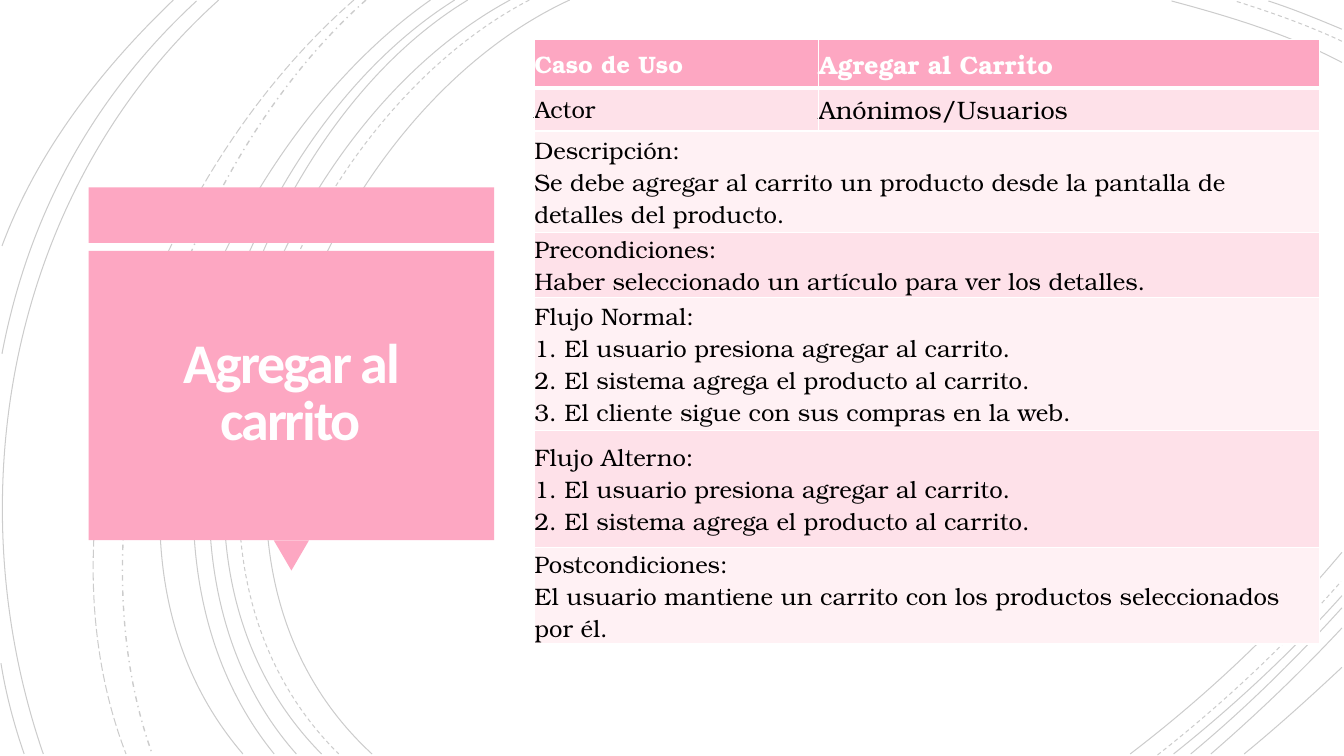
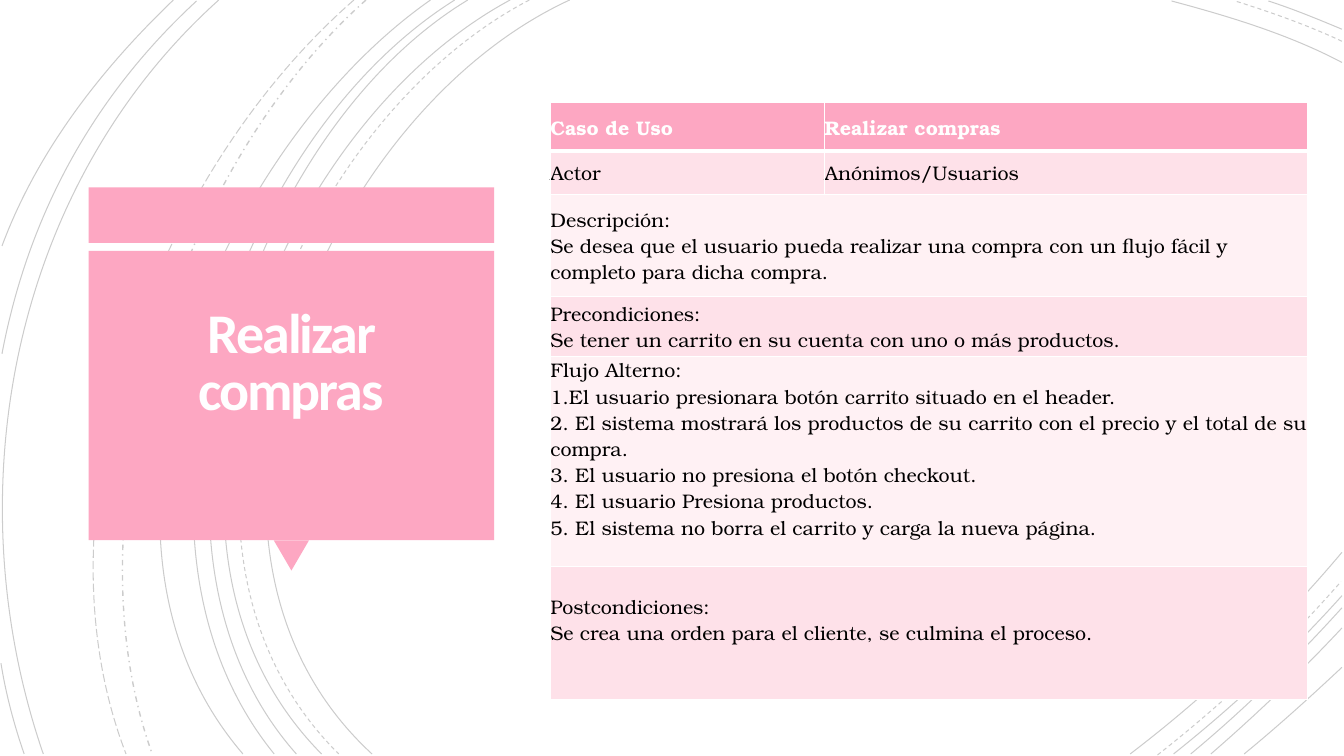
from lxml import etree
from pptx import Presentation
from pptx.dml.color import RGBColor
from pptx.enum import dml, shapes, text
from pptx.oxml import ns
from pptx.util import Inches, Pt

PINK = RGBColor(0xFD, 0xA7, 0xC2)
PINK_MID = RGBColor(0xFE, 0xE1, 0xE9)
PINK_PALE = RGBColor(0xFF, 0xF1, 0xF4)
WHITE = RGBColor(0xFF, 0xFF, 0xFF)
TITLE_WHITE = RGBColor(0xFF, 0xFE, 0xFF)
BLACK = RGBColor(0, 0, 0)

TITLE_FONT = "Calibri"
TABLE_FONT = "TeX Gyre Bonum"
TITLE_BOX = (0.97, 2.57, 3.83, 2.69)
PANEL_BOX = (0.88, 1.86, 4.02, 3.8)

SOLID = dml.MSO_LINE.SOLID
DASH = dml.MSO_LINE.DASH
DASH_DOT = dml.MSO_LINE.DASH_DOT
LONG_DASH = dml.MSO_LINE.LONG_DASH

# Backdrop arcs: start, two control points, end, dash, width
ARCS = [
    ((5.65, 0), (3.15, 1.15), (1.43, 5.4), (3.69, 7.48), SOLID, 0.75),
    ((13.31, 0.62), (12.78, 0.34), (12.18, 0.16), (11.62, 0.01), SOLID, 0.75),
    ((11.21, 7.48), (11.97, 6.9), (12.69, 6.22), (13.31, 5.48), SOLID, 0.75),
    ((5.25, 0), (2.85, 1.25), (1.23, 5.37), (3.36, 7.48), DASH, 0.75),
    ((13.31, 0.41), (12.97, 0.25), (12.6, 0.12), (12.25, 0.01), DASH, 0.75),
    ((11.48, 7.49), (12.13, 6.98), (12.75, 6.4), (13.3, 5.77), DASH, 0.75),
    ((5.06, 0), (2.7, 1.27), (1.1, 5.37), (3.19, 7.48), SOLID, 0.75),
    ((13.31, 0.29), (13.07, 0.19), (12.83, 0.09), (12.58, 0.01), SOLID, 0.75),
    ((11.64, 7.48), (12.23, 7.01), (12.8, 6.48), (13.31, 5.91), SOLID, 0.75),
    ((4.64, 0), (2.44, 1.33), (1.1, 5.41), (2.94, 7.48), SOLID, 0.75),
    ((11.81, 7.48), (12.34, 7.04), (12.84, 6.55), (13.31, 6.03), SOLID, 0.75),
    ((4.51, 0), (2.31, 1.38), (0.97, 5.33), (2.72, 7.48), SOLID, 0.75),
    ((12.01, 7.48), (12.46, 7.09), (12.9, 6.67), (13.31, 6.23), SOLID, 0.75),
    ((4.27, 0), (2.17, 1.47), (0.53, 5.29), (2.41, 7.48), SOLID, 0.75),
    ((12.34, 7.48), (12.67, 7.21), (12.99, 6.92), (13.31, 6.62), SOLID, 0.75),
    ((3.63, 0), (1.76, 1.66), (0.65, 5.09), (1.51, 7.48), DASH_DOT, 1),
    ((3.51, 0), (1.57, 1.69), (0.29, 4.99), (1.25, 7.48), LONG_DASH, 0.75),
    ((2.17, 0), (0.11, 1.85), (-0.46, 4.9), (0.43, 7.48), SOLID, 0.75),
    ((1.95, 0.01), (0.92, 0.96), (0.28, 2.14), (0.02, 3.51), SOLID, 0.75),
    ((0.01, 6.58), (0.06, 6.89), (0.14, 7.19), (0.24, 7.48), SOLID, 0.75),
    ((1.72, 0), (1, 0.69), (0.37, 1.5), (0.02, 2.44), SOLID, 0.75),
]

# Each use case: rows are (height, texts of the cells, space kept below the text)
USE_CASES = [
    dict(
        title="Agregar al carrito", title_bottom=0.25,
        place=(5.3, 0.39), columns=(2.82, 4.97), size=17, value_size=18,
        rows=[
            (0.48, ["Caso de Uso", "Agregar al Carrito"], 0),
            (0.43, ["Actor", "Anónimos/Usuarios"], 0),
            (1.01, ["Descripción:\nSe debe agregar al carrito un producto desde la "
                    "pantalla de detalles del producto."], 0),
            (0.64, ["Precondiciones:\nHaber seleccionado un artículo para ver los "
                    "detalles."], 0),
            (1.32, ["Flujo Normal:\n1. El usuario presiona agregar al carrito.\n"
                    "2. El sistema agrega el producto al carrito.\n"
                    "3. El cliente sigue con sus compras en la web."], 0),
            (1.16, ["Flujo Alterno:\n1. El usuario presiona agregar al carrito.\n"
                    "2. El sistema agrega el producto al carrito."], 0),
            (0.96, ["Postcondiciones:\nEl usuario mantiene un carrito con los "
                    "productos seleccionados por él."], 0),
        ]),
    dict(
        title="Realizar compras", title_bottom=0.84,
        place=(5.46, 1.02), columns=(2.72, 4.79), size=14, value_size=14,
        rows=[
            (0.48, ["Caso de Uso", "Realizar compras"], 0),
            (0.43, ["Actor", "Anónimos/Usuarios"], 0),
            (1.01, ["Descripción:\nSe desea que el usuario pueda realizar una compra "
                    "con un flujo fácil y completo para dicha compra."], 0),
            (0.6, ["Precondiciones:\nSe tener un carrito en su cuenta con uno o más "
                   "productos."], 0),
            (2.08, ["Flujo Alterno:\n"
                    "1.El usuario presionara botón carrito situado en el header.\n"
                    "2. El sistema mostrará los productos de su carrito con el precio "
                    "y el total de su compra.\n"
                    "3. El usuario no presiona el botón checkout.\n"
                    "4. El usuario Presiona productos.\n"
                    "5. El sistema no borra el carrito y carga la nueva página."], 0.26),
            (1.32, ["Postcondiciones:\nSe crea una orden para el cliente, se culmina "
                    "el proceso."], 0.26),
        ]),
]


def add_arc(slide, *controls, dash, width):
    start, *rest = [tuple(map(Inches, point)) for point in controls]
    builder = slide.shapes.build_freeform(*start)
    builder.add_line_segments(rest, close=False)
    arc = builder.convert_to_shape()
    # Turn the three segments into one cubic curve
    segments = list(arc.element.iter(ns.qn("a:lnTo")))
    outline = segments[0].getparent()
    curve = etree.SubElement(outline, ns.qn("a:cubicBezTo"))
    for segment in segments:
        curve.append(segment[0])
        outline.remove(segment)
    arc.shadow.inherit = False
    arc.fill.background()
    arc.line.color.rgb = BLACK
    arc.line.width = Pt(width)
    arc.line.dash_style = dash
    # Lines are mostly transparent
    color = arc.element.spPr.find(".//" + ns.qn("a:srgbClr"))
    etree.SubElement(color, ns.qn("a:alpha"), val="20000")
    return arc


def add_panel(slide, box):
    """Band, pointer and main block behind the title."""
    left, top, width, height = box
    kinds = shapes.MSO_SHAPE
    pointer_w, pointer_h, band_h, gap = 0.35, 0.3, 0.55, 0.08
    block_top = top + band_h + gap
    pointer_top = top + height - pointer_h
    parts = [
        (kinds.RECTANGLE, left, top, width, band_h, 0),
        (kinds.ISOSCELES_TRIANGLE, left + (width - pointer_w) / 2, pointer_top,
         pointer_w, pointer_h, 180),
        (kinds.RECTANGLE, left, block_top, width, pointer_top - block_top, 0),
    ]
    panel = []
    for kind, *place, rotation in parts:
        part = slide.shapes.add_shape(kind, *map(Inches, place))
        part.rotation = rotation
        part.shadow.inherit = False
        part.fill.solid()
        part.fill.fore_color.rgb = PINK
        part.line.fill.background()
        panel.append(part)
    return panel


def move_backdrop_to_layout(slide):
    """Draw the shared backdrop once and hand it to the layout."""
    layout = slide.slide_layout
    for holder in list(layout.placeholders):
        if holder.placeholder_format.type != shapes.PP_PLACEHOLDER.TITLE:
            holder.element.getparent().remove(holder.element)
    backdrop = [add_arc(slide, *controls, dash=dash, width=width)
                for *controls, dash, width in ARCS]
    backdrop += add_panel(slide, PANEL_BOX)
    for part in backdrop:
        layout.element.cSld.spTree.append(part.element)


def fill_title(slide, title, box, bottom):
    heading = slide.shapes.title
    heading.left, heading.top, heading.width, heading.height = map(Inches, box)
    frame = heading.text_frame
    frame.text = title
    frame.word_wrap = True
    frame.auto_size = text.MSO_AUTO_SIZE.NONE
    frame.vertical_anchor = text.MSO_ANCHOR.MIDDLE
    frame.margin_left = frame.margin_right = frame.margin_top = Inches(0.25)
    frame.margin_bottom = Inches(bottom)
    line = frame.paragraphs[0]
    line.alignment = text.PP_ALIGN.CENTER
    line.line_spacing = 0.85
    run = line.runs[0]
    run.font.name, run.font.size, run.font.bold = TITLE_FONT, Pt(40), True
    run.font.color.rgb = TITLE_WHITE
    run.font._element.set("spc", "-150")


def set_borders(cell, **widths):
    props = cell._tc.get_or_add_tcPr()
    for index, (side, width) in enumerate(widths.items()):
        border = etree.Element(ns.qn("a:ln" + side), w=str(Pt(width)))
        fill = etree.SubElement(border, ns.qn("a:solidFill"))
        etree.SubElement(fill, ns.qn("a:srgbClr"), val=str(WHITE))
        props.insert(index, border)


def fill_cell(cell, content, fill, color, size, bold, bottom):
    cell.fill.solid()
    cell.fill.fore_color.rgb = fill
    cell.margin_left = cell.margin_right = cell.margin_top = 0
    cell.margin_bottom = Inches(bottom)
    cell.vertical_anchor = text.MSO_ANCHOR.MIDDLE
    cell.text_frame.text = content
    for line in cell.text_frame.paragraphs:
        for run in line.runs:
            run.font.name, run.font.size, run.font.bold = TABLE_FONT, Pt(size), bold
            run.font.color.rgb = color


def add_use_case_table(slide, place, columns, rows, size, value_size):
    total_height = sum(height for height, *_ in rows)
    table = slide.shapes.add_table(
        len(rows), len(columns), *map(Inches, place),
        Inches(sum(columns)), Inches(total_height)).table
    for column, width in zip(table.columns, columns):
        column.width = Inches(width)
    for r, (height, contents, bottom) in enumerate(rows):
        header = r == 0
        fill = PINK if header else (PINK_MID if r % 2 else PINK_PALE)
        table.rows[r].height = Inches(height)
        if len(contents) == 1:
            table.cell(r, 0).merge(table.cell(r, 1))
        for c, content in enumerate(contents):
            fill_cell(table.cell(r, c), content, fill, WHITE if header else BLACK,
                      value_size if c else size, header, bottom)
        for c in range(len(columns)):
            set_borders(table.cell(r, c), L=1, R=1, T=3 if r == 1 else 1,
                        B=3 if header else 1)


def add_use_case_slide(prs, title, title_bottom, **table):
    slide = prs.slides.add_slide(prs.slide_layouts[5])
    if len(prs.slides) == 1:
        move_backdrop_to_layout(slide)
    fill_title(slide, title, TITLE_BOX, title_bottom)
    add_use_case_table(slide, **table)


def main():
    prs = Presentation()
    prs.slide_width, prs.slide_height = Inches(13.33), Inches(7.5)
    for use_case in USE_CASES:
        add_use_case_slide(prs, **use_case)
    prs.save("out.pptx")


if __name__ == "__main__":
    main()
